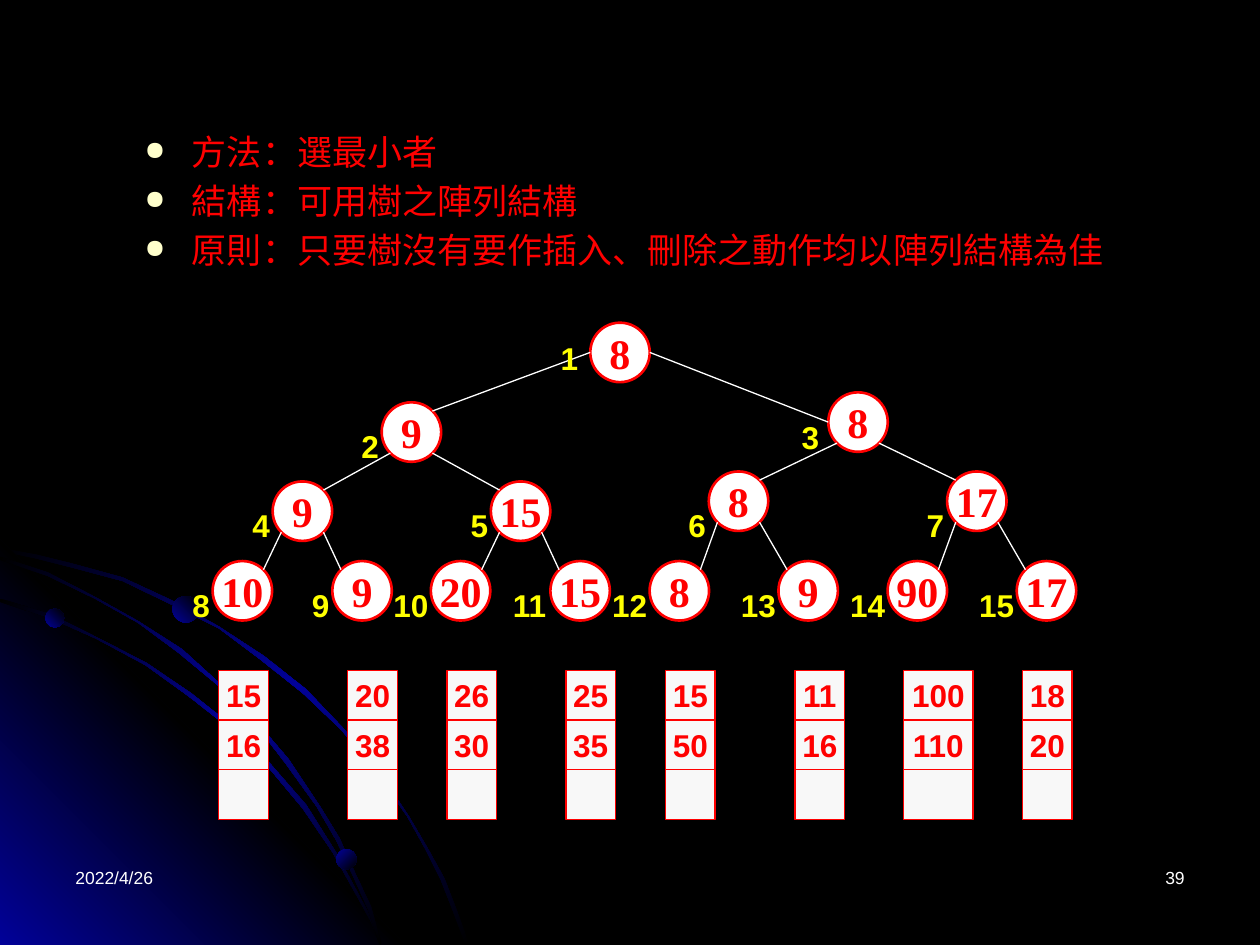
import math
from dataclasses import dataclass

import lxml.etree
import pptx
import pptx.dml.color
import pptx.enum.shapes
import pptx.enum.text
import pptx.oxml.ns
import pptx.util

Pt = pptx.util.Pt
qn = pptx.oxml.ns.qn
Preset = pptx.enum.shapes.MSO_SHAPE
Align = pptx.enum.text.PP_ALIGN

COLORS = {
    "black": "000000", "navy": "010199", "white": "FFFFFF", "red": "FF0000",
    "yellow": "FFFF00", "cream": "FFFFCC", "cell": "F8F8F8",
}
RADIUS = 17
DIAGONAL = RADIUS * math.sqrt(0.5)
CELL = 28.35
CELLS_TOP = 383.2
RIBBON_WIDTH = 1.8


@dataclass
class Node:
    value: str
    x: float
    y: float
    label_dx: float = -18.7
    label_dy: float = 10.8


@dataclass
class Run:
    left: float
    values: tuple[str, ...]
    width: float = CELL


@dataclass
class Orb:
    left: float
    top: float
    size: float
    angle: int


NODES = [
    Node("8", 354.3, 201.4, -24, 5.8),
    Node("9", 235.1, 246.9),
    Node("8", 490.3, 241.2, -22.3, 11.2),
    Node("9", 172.8, 292.1),
    Node("15", 297.5, 292.1),
    Node("8", 422, 286.4, label_dy=16.5),
    Node("17", 558.2, 286.4, label_dy=16.5),
    *(Node(value, x, 337.6) for value, x in [
        ("10", 138.5), ("9", 206.9), ("20", 263.2), ("15", 331.5),
        ("8", 388.2), ("9", 461.8), ("90", 524.2), ("17", 598)]),
]
RUNS = [
    Run(125, ("15", "16", "")), Run(198.8, ("20", "38", "")),
    Run(255.4, ("26", "30", "")), Run(323.4, ("25", "35", "")),
    Run(380.3, ("15", "50", "")), Run(454.3, ("11", "16", "")),
    Run(516.3, ("100", "110", ""), 39.7), Run(584.3, ("18", "20", "")),
]
LONG_ARC = [
    (0, 314), (20.5, 318), (40.5, 323), (70, 331), (97.5, 343.8), (125, 358.5),
    (150, 376), (174, 395), (195.5, 416.5), (215.5, 440.5), (233.3, 467),
    (243.3, 484.5), (252.7, 502.5), (260, 520.5), (267, 539.3)]
LOWER_ARC = [
    (0, 342.7), (28.8, 352), (55, 364.5), (83.5, 379.4), (108.7, 397),
    (132, 415.8), (153.5, 437), (174, 461), (191.2, 487), (205.6, 513.4),
    (212.4, 526.5), (217.4, 539.3)]
MIDDLE_ARC = [
    (0, 319), (27, 328.3), (54, 341.3), (79, 355.3), (103, 372.2),
    (125.3, 391.3), (146.2, 413.3), (164.2, 435), (182.2, 461), (193, 479.5),
    (202.3, 499), (211, 518.5), (217.4, 539.3)]
CORNER = [(232, 540), (0, 540), (0, 307.5)]
ORBS = [Orb(25.9, 347.8, 10.8, 315), Orb(192.2, 485.3, 11.5, 45),
        Orb(98.6, 340.6, 15.1, 315)]
POINTS = ["方法：選最小者", "結構：可用樹之陣列結構",
          "原則：只要樹沒有要作插入、刪除之動作均以陣列結構為佳"]


def rgb(name: str) -> pptx.dml.color.RGBColor:
    return pptx.dml.color.RGBColor.from_string(COLORS[name])


def write(paragraph, text: str, *, size: float = 18, color: str = "white",
          font: str = "Arial", bold: bool = False, align=Align.LEFT) -> None:
    paragraph.alignment = align
    run = paragraph.add_run()
    run.text = text
    run.font.size = Pt(size)
    run.font.name = font
    run.font.bold = bold
    run.font.color.rgb = rgb(color)


def text_frame(slide, left: float, top: float, width: float, height: float,
               wrap: bool = True):
    frame = slide.shapes.add_textbox(Pt(left), Pt(top), Pt(width), Pt(height)).text_frame
    frame.word_wrap = wrap
    return frame


def apply_gradient(shape, colors: list[str], angle: int) -> None:
    shape.shadow.inherit = False
    shape.line.fill.background()
    shape.fill.gradient()
    shape.fill.gradient_angle = 360 - angle
    stops = shape.element.spPr.find(qn("a:gradFill")).find(qn("a:gsLst"))
    for stop in list(stops):
        stops.remove(stop)
    for index, name in enumerate(colors):
        position = str(100000 * index // (len(colors) - 1))
        stop = lxml.etree.SubElement(stops, qn("a:gs"), pos=position)
        lxml.etree.SubElement(stop, qn("a:srgbClr"), val=COLORS[name])


def draw_outline(slide, points: list[tuple[float, float]], colors: list[str],
                 angle: int) -> None:
    builder = slide.shapes.build_freeform(*points[0], scale=Pt(1))
    builder.add_line_segments(points[1:], close=True)
    apply_gradient(builder.convert_to_shape(), colors, angle)


def draw_ribbon(slide, curve: list[tuple[float, float]]) -> None:
    upper, lower = [], []
    for index, (x, y) in enumerate(curve):
        before = curve[max(index - 1, 0)]
        after = curve[min(index + 1, len(curve) - 1)]
        angle = math.atan2(after[1] - before[1], after[0] - before[0])
        dx = math.sin(angle) * RIBBON_WIDTH / 2
        dy = math.cos(angle) * RIBBON_WIDTH / 2
        upper.append((x + dx, y - dy))
        lower.append((x - dx, y + dy))
    draw_outline(slide, upper + lower[::-1], ["black", "navy", "black"], 45)


def draw_orb(slide, orb: Orb) -> None:
    shape = slide.shapes.add_shape(
        Preset.OVAL, Pt(orb.left), Pt(orb.top), Pt(orb.size), Pt(orb.size))
    apply_gradient(shape, ["navy", "black"], orb.angle)


def draw_box(slide, preset, left: float, top: float, width: float, height: float,
             text: str, *, fill: str, line_width: float, **text_format) -> None:
    shape = slide.shapes.add_shape(preset, Pt(left), Pt(top), Pt(width), Pt(height))
    shape.shadow.inherit = False
    shape.fill.solid()
    shape.fill.fore_color.rgb = rgb(fill)
    shape.line.color.rgb = rgb("red")
    shape.line.width = Pt(line_width)
    if text:
        frame = shape.text_frame
        frame.word_wrap = False
        frame.vertical_anchor = pptx.enum.text.MSO_ANCHOR.MIDDLE
        write(frame.paragraphs[0], text, color="red", bold=True,
              align=Align.CENTER, **text_format)


def draw_node(slide, node: Node) -> None:
    draw_box(slide, Preset.FLOWCHART_CONNECTOR, node.x - RADIUS, node.y - RADIUS,
             2 * RADIUS, 2 * RADIUS, node.value, fill="white", line_width=1.5,
             size=24, font="Times New Roman")


def draw_branch(slide, parent: Node, child: Node, side: int, is_root: bool) -> None:
    start = (parent.x + side * DIAGONAL, parent.y + DIAGONAL)
    end = (child.x - side * DIAGONAL, child.y - DIAGONAL)
    if is_root:
        start = (parent.x + side * RADIUS, parent.y)
        if side > 0:
            end = (child.x - RADIUS, child.y)
    branch = slide.shapes.add_connector(
        pptx.enum.shapes.MSO_CONNECTOR.STRAIGHT, *(Pt(v) for v in start + end))
    branch.line.color.rgb = rgb("white")
    branch.line.width = Pt(0.75)
    lxml.etree.SubElement(branch.element.spPr, qn("a:effectLst"))


def draw_label(slide, node: Node, number: int) -> None:
    extra = 9.8 if number > 9 else 0
    frame = text_frame(slide, node.x - RADIUS + node.label_dx - extra,
                       node.y - RADIUS + node.label_dy, 24.5 + extra, 28.8, wrap=False)
    write(frame.paragraphs[0], str(number), color="yellow", bold=True)


def draw_run(slide, run: Run) -> None:
    for row, value in enumerate(run.values):
        draw_box(slide, Preset.RECTANGLE, run.left, CELLS_TOP + row * CELL,
                 run.width, CELL, value, fill="cell", line_width=0.75)


def draw_points(slide) -> None:
    frame = text_frame(slide, 75.6, 71.3, 579, 96.5)
    for index, point in enumerate(POINTS):
        paragraph = frame.add_paragraph() if index else frame.paragraphs[0]
        properties = paragraph._p.get_or_add_pPr()
        properties.set("marL", str(Pt(27)))
        properties.set("indent", str(-Pt(27)))
        bullet_color = lxml.etree.SubElement(properties, qn("a:buClr"))
        lxml.etree.SubElement(bullet_color, qn("a:srgbClr"), val=COLORS["cream"])
        lxml.etree.SubElement(properties, qn("a:buSzPct"), val="75000")
        lxml.etree.SubElement(properties, qn("a:buChar"), char="●")
        if index:
            paragraph.space_before = Pt(4)
        write(paragraph, point, size=20, color="red")


def main() -> None:
    deck = pptx.Presentation()
    deck.slide_width, deck.slide_height = Pt(720), Pt(540)
    slide = deck.slides.add_slide(deck.slide_layouts[6])
    slide.background.fill.solid()
    slide.background.fill.fore_color.rgb = rgb("black")

    draw_ribbon(slide, LONG_ARC)
    draw_outline(slide, CORNER, ["navy", "black", "navy"], 315)
    draw_ribbon(slide, LOWER_ARC)
    draw_ribbon(slide, MIDDLE_ARC)
    for orb in ORBS:
        draw_orb(slide, orb)

    for left, text, align in [(36, "2022/4/26", Align.LEFT), (516, "39", Align.RIGHT)]:
        footer = text_frame(slide, left, 492, 168, 36)
        write(footer.paragraphs[0], text, size=10, align=align)
    draw_points(slide)

    for node in NODES:
        draw_node(slide, node)
    for index, child in enumerate(NODES[1:], 1):
        parent = (index - 1) // 2
        draw_branch(slide, NODES[parent], child, -1 if index % 2 else 1, parent == 0)
    for number, node in enumerate(NODES, 1):
        draw_label(slide, node, number)
    for run in RUNS:
        draw_run(slide, run)
    deck.save("out.pptx")


if __name__ == "__main__":
    main()
